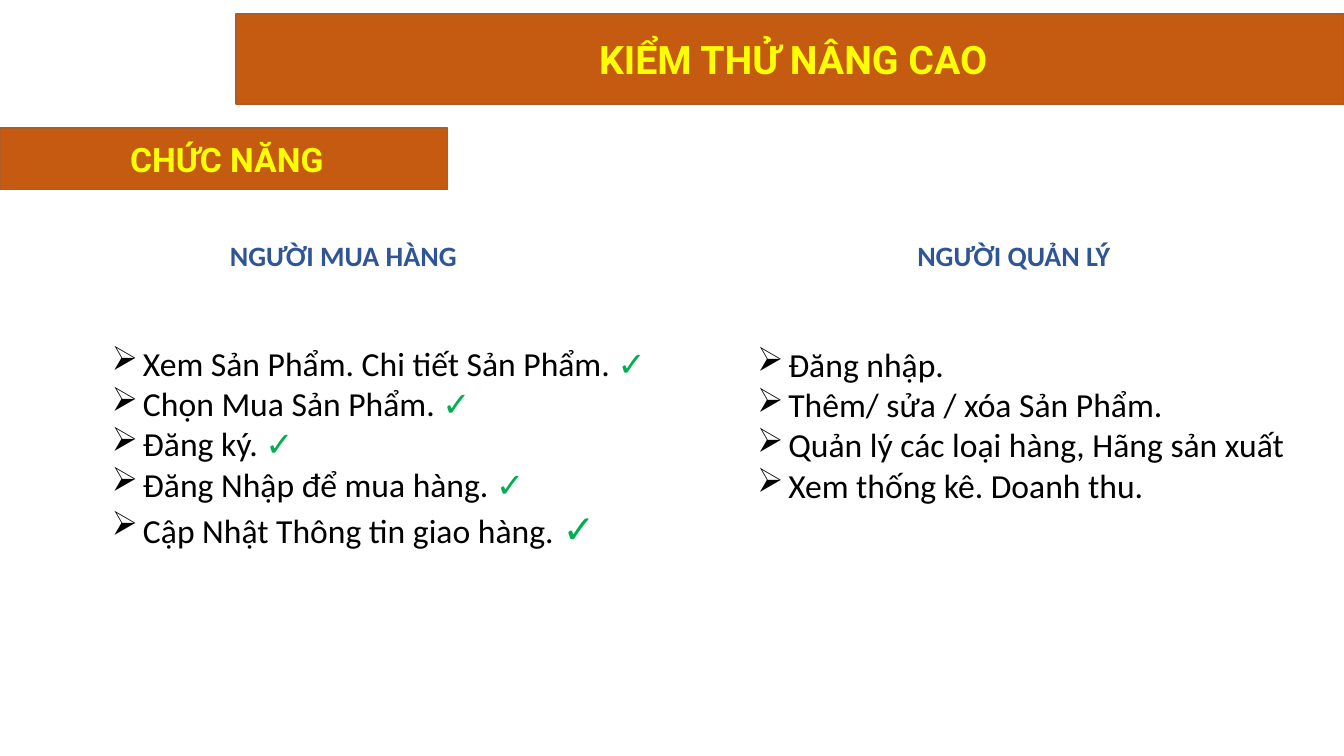
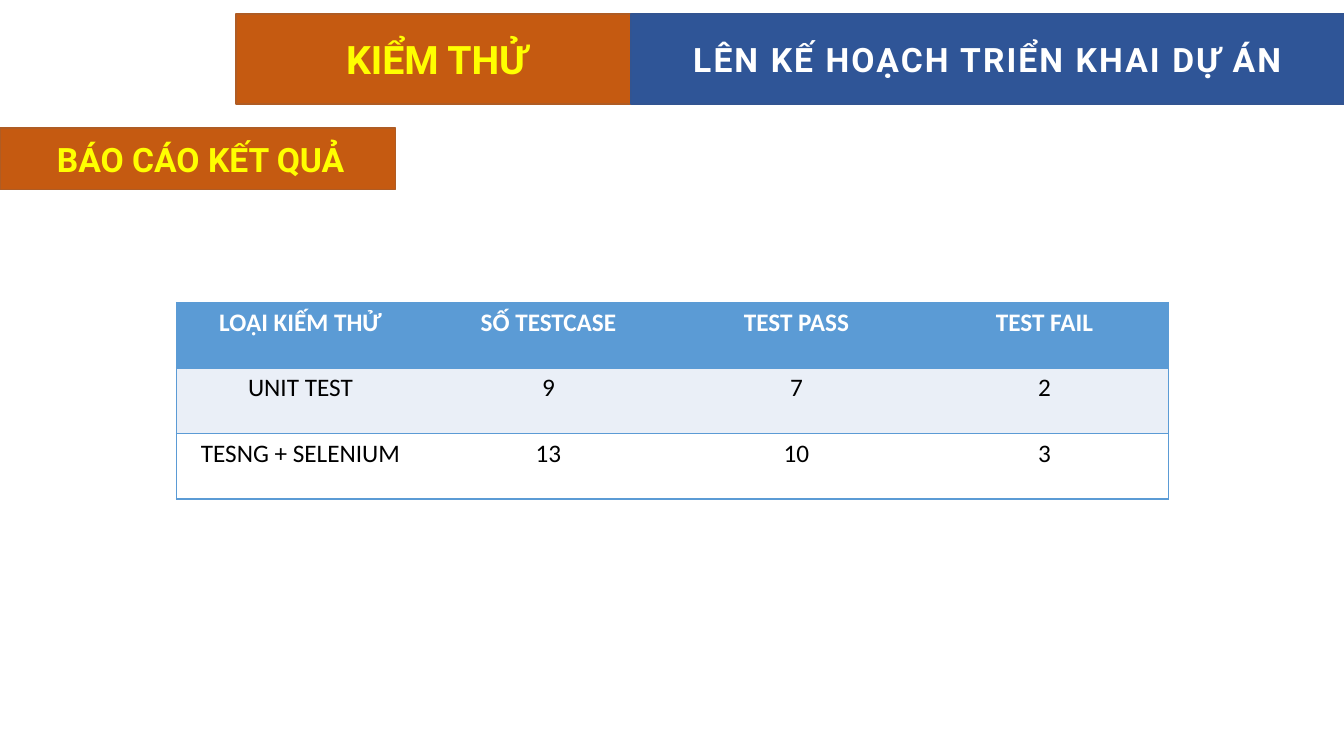
"""Build two slides on advanced testing and its results."""
from pptx import Presentation
from pptx import util as u
from pptx.dml.color import RGBColor
from pptx.enum import shapes, text
from pptx.oxml.xmlchemy import OxmlElement

ORANGE = RGBColor(0xC5, 0x5A, 0x11)
ORANGE_EDGE = RGBColor(0xAF, 0x5C, 0x24)
NAVY = RGBColor(0x2F, 0x55, 0x97)
NAVY_EDGE = RGBColor(0x32, 0x54, 0x91)
YELLOW = RGBColor(0xFF, 0xFF, 0x00)
WHITE = RGBColor(0xFF, 0xFF, 0xFF)
BLACK = RGBColor(0, 0, 0)
GREEN = RGBColor(0x00, 0xB0, 0x50)
BLUE = RGBColor(0x5B, 0x9B, 0xD5)
PALE = RGBColor(0xEA, 0xEF, 0xF7)

SLIDE_W = 13.33
HEAD_LEFT = 2.34
HEADING_FONT = "Roboto"
BODY_FONT = "Calibri"
NO_STYLE = "{2D5ABB26-0587-4C30-8999-92F81FD0307C}"


class Deck:
    """Hold the shared style and the current slide."""

    def __init__(self):
        self.prs = Presentation()
        self.prs.slide_width = u.Inches(SLIDE_W)
        self.prs.slide_height = u.Inches(7.5)
        self.s = None

    def slide(self):
        self.s = self.prs.slides.add_slide(self.prs.slide_layouts[6])

    def format(self, r, size, color, bold=False, font=BODY_FONT):
        r.font.size = u.Pt(size)
        r.font.name = font
        r.font.bold = bold
        r.font.color.rgb = color

    def band(self, words, left, top, width, height, size,
             fill=ORANGE, edge=ORANGE_EDGE, color=YELLOW, indent=0.06, spacing=0):
        sp = self.s.shapes.add_shape(
            shapes.MSO_SHAPE.RECTANGLE, *map(u.Inches, (left, top, width, height)))
        sp.shadow.inherit = False
        sp.fill.solid()
        sp.fill.fore_color.rgb = fill
        sp.line.color.rgb = edge
        sp.line.width = u.Pt(1)
        tf = sp.text_frame
        tf.vertical_anchor = text.MSO_ANCHOR.MIDDLE
        tf.text = words
        p = tf.paragraphs[0]
        p.alignment = text.PP_ALIGN.CENTER
        p._p.get_or_add_pPr().set("marL", str(u.Inches(indent)))
        r = p.runs[0]
        self.format(r, size, color, True, HEADING_FONT)
        if spacing:
            r._r.get_or_add_rPr().set("spc", str(int(spacing * 100)))

    def header(self, words, right=SLIDE_W):
        self.band(words, HEAD_LEFT, 0.14, right - HEAD_LEFT, 0.89, 28)

    def section(self, words, width):
        self.band(words, 0, 1.27, width, 0.61, 24)

    def textbox(self, left, top, width, height, wrap):
        sp = self.s.shapes.add_textbox(*map(u.Inches, (left, top, width, height)))
        tf = sp.text_frame
        tf.word_wrap = wrap
        tf.auto_size = text.MSO_AUTO_SIZE.SHAPE_TO_FIT_TEXT
        return tf

    def column_title(self, words, left):
        tf = self.textbox(left, 2.29, 5.69, 0.45, True)
        tf.text = words
        p = tf.paragraphs[0]
        p.alignment = text.PP_ALIGN.CENTER
        p.line_spacing = 1.07
        p.space_after = u.Pt(8)
        self.format(p.runs[0], 20, NAVY, True)

    def bullets(self, items, left, top, width, height):
        tf = self.textbox(left, top, width, height, False)
        for i, (words, check_size) in enumerate(items):
            p = tf.add_paragraph() if i else tf.paragraphs[0]
            pPr = p._p.get_or_add_pPr()
            pPr.set("marL", str(u.Inches(0.31)))
            pPr.set("indent", str(-u.Inches(0.31)))
            bullet = OxmlElement("a:buChar")
            bullet.set("char", "➢")
            pPr.append(bullet)
            p.text = words
            self.format(p.runs[0], 24, BLACK)
            if check_size:
                r = p.add_run()
                r.text = " ✓"
                self.format(r, check_size, GREEN, True)

    def border(self, cell, sides):
        tcPr = cell._tc.get_or_add_tcPr()
        for side in sides:
            ln = OxmlElement(f"a:ln{side}")
            ln.set("w", str(u.Pt(1)))
            fill = OxmlElement("a:solidFill")
            color = OxmlElement("a:srgbClr")
            color.set("val", str(BLUE))
            fill.append(color)
            ln.append(fill)
            tcPr.append(ln)

    def table(self, rows, left, top, col_width, row_height):
        n_rows, n_cols = len(rows), len(rows[0])
        tbl = self.s.shapes.add_table(
            n_rows, n_cols, u.Inches(left), u.Inches(top),
            u.Inches(col_width * n_cols), u.Inches(row_height * n_rows)).table
        tbl._tbl.tblPr[0].text = NO_STYLE
        fills = (BLUE, PALE, WHITE)
        for i, row in enumerate(rows):
            for j, words in enumerate(row):
                cell = tbl.cell(i, j)
                sides = "L" * (j == 0) + "R" * (j == n_cols - 1) + "TB"
                self.border(cell, sides)
                cell.fill.solid()
                cell.fill.fore_color.rgb = fills[i]
                cell.text_frame.text = words
                p = cell.text_frame.paragraphs[0]
                p.alignment = text.PP_ALIGN.CENTER
                self.format(p.runs[0], 18, BLACK if i else WHITE, i == 0)


def main():
    deck = Deck()

    deck.slide()
    deck.header("KIỂM THỬ NÂNG CAO")
    deck.section("CHỨC NĂNG", 4.44)
    deck.column_title("NGƯỜI MUA HÀNG", 0.56)
    deck.bullets([
        ("Xem Sản Phẩm. Chi tiết Sản Phẩm.", 24),
        ("Chọn Mua Sản Phẩm.", 24),
        ("Đăng ký.", 24),
        ("Đăng Nhập để mua hàng.", 24),
        ("Cập Nhật Thông tin giao hàng.", 28),
    ], 1.01, 3.35, 5.59, 2.26)
    deck.column_title("NGƯỜI QUẢN LÝ", 7.21)
    deck.bullets([
        ("Đăng nhập.", None),
        ("Thêm/ sửa / xóa Sản Phẩm.", None),
        ("Quản lý các loại hàng, Hãng sản xuất", None),
        ("Xem thống kê. Doanh thu.", None),
    ], 7.41, 3.36, 5.48, 2.12)

    deck.slide()
    split = 6.26
    deck.header("KIỂM THỬ", split)
    deck.band("LÊN KẾ HOẠCH TRIỂN KHAI DỰ ÁN", split, 0.14, SLIDE_W - split, 0.89, 24,
              NAVY, NAVY_EDGE, WHITE, indent=0, spacing=1.5)
    deck.section("BÁO CÁO KẾT QUẢ", 3.92)
    deck.table([
        ("LOẠI KIẾM THỬ", "SỐ TESTCASE", "TEST PASS", "TEST FAIL"),
        ("UNIT TEST", "9", "7", "2"),
        ("TESNG + SELENIUM", "13", "10", "3"),
    ], 1.75, 3, 2.46, 0.65)

    deck.prs.save("out.pptx")


if __name__ == "__main__":
    main()
